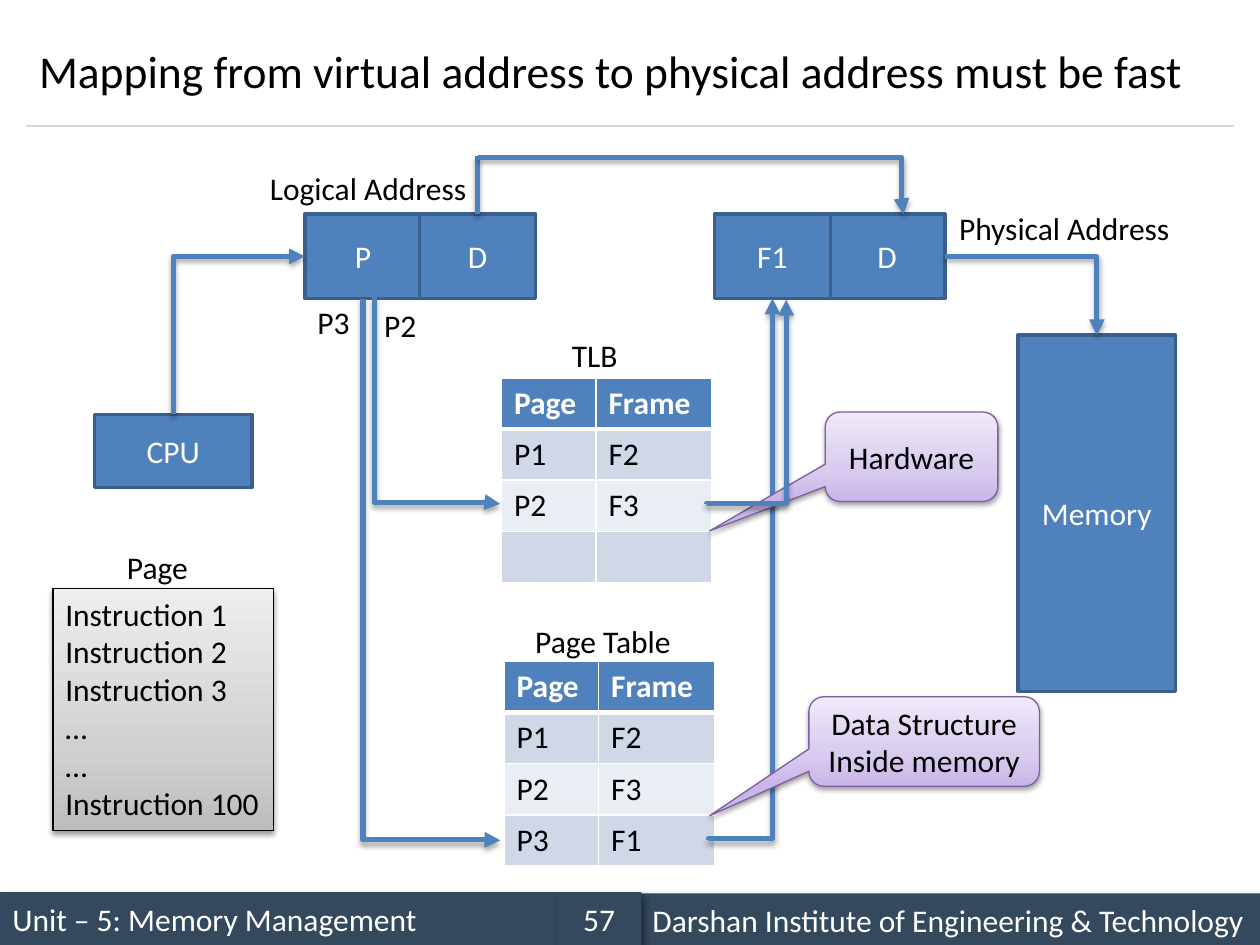
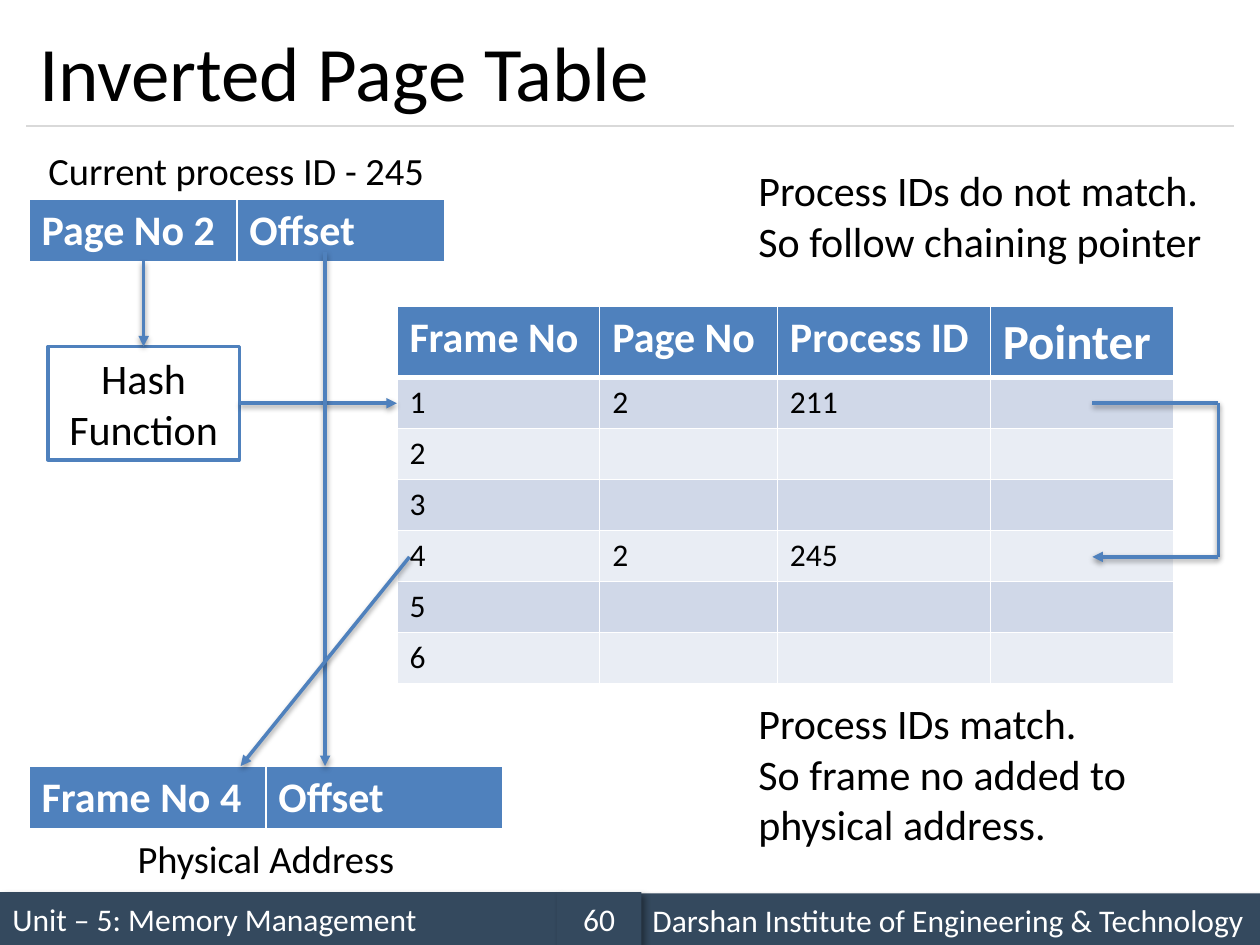
import dataclasses

import lxml.etree
import pptx
import pptx.dml.color
import pptx.enum.shapes
import pptx.enum.text
import pptx.oxml.ns
import pptx.util

Inches = pptx.util.Inches
Pt = pptx.util.Pt
qn = pptx.oxml.ns.qn
SHAPE = pptx.enum.shapes.MSO_SHAPE
CONNECTOR = pptx.enum.shapes.MSO_CONNECTOR
ALIGN = pptx.enum.text.PP_ALIGN
ANCHOR = pptx.enum.text.MSO_ANCHOR
TOP, LEFT, BOTTOM, RIGHT = range(4)
SIDES = {TOP: (0.5, 0), LEFT: (0, 0.5), BOTTOM: (0.5, 1), RIGHT: (1, 0.5)}


@dataclasses.dataclass(frozen=True)
class Theme:
    font: str = "Calibri"
    text: str = "000000"
    white: str = "FFFFFF"
    blue: str = "4F81BD"
    edge: str = "3A5F8C"
    band: str = "34495E"
    rule: str = "D9D9D9"
    purple_edge: str = "7D60A0"
    stripes: tuple = ("D0D8E8", "E9EDF4")
    purple: tuple = ((0, "C9B5E8"), (35, "D8CBEE"), (100, "F0EAF9"))
    gray: tuple = ((0, "BDBDBD"), (35, "D1D1D1"), (100, "EEEEEE"))
    body: int = 18
    caption: int = 22
    large: int = 24
    pointer: int = 28
    band_shadow: tuple = (40, 4, 3, 45)
    thick_shadow: tuple = (35, 3.15, 1.8, 90)
    soft_shadow: tuple = (38, 3.15, 1.6, 90)


T = Theme()

UNIT = "Unit – 5: Memory Management"
INSTITUTE = "Darshan Institute of Engineering & Technology"

MAPPING = {
    "title": ("Mapping from virtual address to physical address must be fast", 26),
    "number": "57",
    "boxes": {
        "cpu": ("CPU", 0.75, 3.29, 1.25, 0.58),
        "page": ("P", 2.42, 1.7, 0.92, 0.67),
        "logical offset": ("D", 3.33, 1.7, 0.92, 0.67),
        "memory": ("Memory", 8.08, 2.66, 1.25, 2.83),
        "physical offset": ("D", 6.58, 1.7, 0.92, 0.67),
        "frame": ("F1", 5.67, 1.7, 0.92, 0.67),
    },
    "tables": [
        (4, 5.25, [["Page", "Frame"], ["P1", "F2"], ["P2", "F3"], ["P3", "F1"]]),
        (3.98, 3, [["Page", "Frame"], ["P1", "F2"], ["P2", "F3"], ["", ""]]),
    ],
    "captions": [
        ("Logical Address", 1.92, 1.29, 1.88, ALIGN.RIGHT),
        ("Physical Address", 7.5, 1.61, 1.88, ALIGN.RIGHT),
        ("P2", 2.95, 2.38, 0.5, ALIGN.LEFT),
        ("P3", 2.42, 2.36, 0.5, ALIGN.LEFT),
        ("Page Table", 4.09, 4.89, 1.39, ALIGN.CENTER),
        ("TLB", 4.39, 2.62, 0.66, ALIGN.CENTER),
        ("Page", 0.91, 4.3, 0.76, ALIGN.LEFT),
    ],
    "callouts": [
        ("Hardware", 6.55, 3.27, 1.37, -1.17),
        ("Data Structure\nInside memory", 6.42, 5.53, 1.83, -0.93),
    ],
    "instructions": "Instruction 1\nInstruction 2\nInstruction 3\n…\n…\nInstruction 100",
    "offset_riser": ((3.79, 1.7), (3.79, 1.24)),
    "elbows_behind": [
        (("cpu", TOP), ("page", LEFT), "vertical", 100),
        ((3.79, 1.25), (7.17, 1.7), "horizontal", 99.6),
        (("page", BOTTOM), (3.97, 6.67), "vertical", 99.9),
        (("physical offset", RIGHT), ("memory", TOP), "corner", None),
        ((5.62, 6.67), ("frame", BOTTOM), "vertical", 0.3),
    ],
    "elbows_front": [
        ((2.97, 2.36), (3.97, 4), "vertical", 99.2),
        ((5.61, 4), (6.24, 2.38), "vertical", 0.3),
    ],
}

INVERTED = {
    "title": ("Inverted Page Table", 44),
    "number": "60",
    "addresses": [
        (0.23, 1.58, 1.65, ["Page No 2", "Offset"]),
        (0.23, 6.08, 1.88, ["Frame No 4", "Offset"]),
    ],
    "frames": [
        ["Frame No", "Page No", "Process ID", "Pointer"],
        ["1", "2", "211", ""],
        ["2", "", "", ""],
        ["3", "", "", ""],
        ["4", "2", "245", ""],
        ["5", "", "", ""],
        ["6", "", "", ""],
    ],
    "captions": [
        ("Current process ID - 245", 0.23, 1.12, 3.29),
        ("Physical Address", 0.97, 6.58, 2.28),
    ],
    "notes": [
        ("Process IDs do not match.\nSo follow chaining pointer", 1.26, 0.91),
        ("Process IDs match.\nSo frame no added to physical address.", 5.49, 1.31),
    ],
    "routes": [
        ((1.14, 2.07), ("hash", TOP)),
        (("hash", RIGHT), (3.15, 3.2)),
        ((8.67, 3.2), (9.67, 3.2), (9.67, 4.42), (8.67, 4.42)),
        ((2.58, 2), (2.58, 6.08)),
        ((3.25, 4.42), (1.91, 6.08)),
    ],
}


def rgb(value):
    return pptx.dml.color.RGBColor.from_string(value)


def write(tf, text, size, color=T.text, align=ALIGN.LEFT, anchor=ANCHOR.TOP, bold=False):
    tf.text = text
    tf.word_wrap = True
    tf.vertical_anchor = anchor
    for p in tf.paragraphs:
        p.alignment = align
        for r in p.runs:
            r.font.name = T.font
            r.font.size = Pt(size)
            r.font.bold = bold
            r.font.color.rgb = rgb(color)


def add_shadow(sp, shadow):
    alpha, blur, dist, angle = shadow
    effects = sp._element.spPr.find(qn("a:effectLst"))
    outer = lxml.etree.SubElement(
        effects, qn("a:outerShdw"), blurRad=str(Pt(blur)), dist=str(Pt(dist)),
        dir=str(angle * 60000), rotWithShape="0")
    color = lxml.etree.SubElement(outer, qn("a:srgbClr"), val="000000")
    lxml.etree.SubElement(color, qn("a:alpha"), val=str(alpha * 1000))


def fill_gradient(sp, stops):
    sp.fill.gradient()
    sp.fill.gradient_angle = 90
    gs_list = sp._element.spPr.find(".//" + qn("a:gsLst"))
    for gs in list(gs_list):
        gs_list.remove(gs)
    for position, color in stops:
        gs = lxml.etree.SubElement(gs_list, qn("a:gs"), pos=str(position * 1000))
        lxml.etree.SubElement(gs, qn("a:srgbClr"), val=color)


def add_box(slide, at, text, fill=T.blue, line=T.edge, width=2, kind=SHAPE.RECTANGLE,
            size=T.body, color=T.white, align=ALIGN.CENTER, anchor=ANCHOR.MIDDLE, shadow=None):
    sp = slide.shapes.add_shape(kind, *map(Inches, at))
    sp.shadow.inherit = False
    if isinstance(fill, str):
        sp.fill.solid()
        sp.fill.fore_color.rgb = rgb(fill)
    else:
        fill_gradient(sp, fill)
    if line:
        sp.line.color.rgb = rgb(line)
        sp.line.width = Pt(width)
    else:
        sp.line.fill.background()
    if shadow:
        add_shadow(sp, shadow)
    write(sp.text_frame, text, size, color, align, anchor)
    return sp


def add_text(slide, at, text, size=T.body, align=ALIGN.LEFT):
    sp = slide.shapes.add_textbox(*map(Inches, at))
    write(sp.text_frame, text, size, align=align)


def locate(stop, boxes):
    if not isinstance(stop[0], str):
        return Inches(stop[0]), Inches(stop[1])
    sp, (across, down) = boxes[stop[0]], SIDES[stop[1]]
    return int(sp.left + sp.width * across), int(sp.top + sp.height * down)


def add_line(slide, start, end, color, width, boxes=None, kind=CONNECTOR.STRAIGHT,
             arrow=False, shadow=None):
    line = slide.shapes.add_connector(kind, *locate(start, boxes), *locate(end, boxes))
    if isinstance(start[0], str):
        line.begin_connect(boxes[start[0]], start[1])
    if isinstance(end[0], str):
        line.end_connect(boxes[end[0]], end[1])
    line.line.color.rgb = rgb(color)
    line.line.width = Pt(width)
    if arrow:
        lxml.etree.SubElement(line.line._get_or_add_ln(), qn("a:tailEnd"), type="triangle")
    lxml.etree.SubElement(line._element.spPr, qn("a:effectLst"))
    if shadow:
        add_shadow(line, shadow)
    return line


def add_route(slide, stops, boxes):
    for i, (start, end) in enumerate(zip(stops, stops[1:]), 2):
        add_line(slide, start, end, T.blue, 2, boxes, arrow=i == len(stops),
                 shadow=T.soft_shadow)


def add_elbow(slide, start, end, course, bend, boxes):
    line = add_line(slide, start, end, T.blue, 3, boxes, CONNECTOR.ELBOW, True, T.thick_shadow)
    geometry = line._element.spPr.find(qn("a:prstGeom"))
    if course == "corner":
        geometry.set("prst", "bentConnector2")
        return
    guides = geometry.find(qn("a:avLst"))
    if guides is None:
        guides = lxml.etree.SubElement(geometry, qn("a:avLst"))
    lxml.etree.SubElement(guides, qn("a:gd"), name="adj1", fmla=f"val {round(bend * 1000)}")
    if course == "vertical":
        (x1, y1), (x2, y2) = locate(start, boxes), locate(end, boxes)
        width, height = abs(y2 - y1), abs(x2 - x1)
        line.left, line.top = (x1 + x2 - width) // 2, (y1 + y2 - height) // 2
        line.width, line.height = width, height
        xfrm = line._element.spPr.find(qn("a:xfrm"))
        rising = y2 < y1
        xfrm.set("rot", str((90 if rising else 270) * 60000))
        xfrm.set("flipH", "1")
        xfrm.set("flipV", "1" if rising else "0")


def add_header_rule(cell):
    ln = lxml.etree.Element(qn("a:lnB"), w=str(Pt(3)))
    fill = lxml.etree.SubElement(ln, qn("a:solidFill"))
    lxml.etree.SubElement(fill, qn("a:srgbClr"), val=T.white)
    cell._tc.get_or_add_tcPr().insert(0, ln)


def add_table(slide, left, top, widths, height, rows, header_height=None, header_sizes=None):
    header_height = header_height or height / len(rows)
    header_sizes = header_sizes or [T.body] * len(widths)
    table = slide.shapes.add_table(
        len(rows), len(widths), *map(Inches, (left, top, sum(widths), height))).table
    for column, width in zip(table.columns, widths):
        column.width = Inches(width)
    for i, row in enumerate(rows):
        body_height = (height - header_height) / max(len(rows) - 1, 1)
        table.rows[i].height = Inches(body_height if i else header_height)
        for j, text in enumerate(row):
            cell = table.cell(i, j)
            cell.fill.solid()
            cell.fill.fore_color.rgb = rgb(T.stripes[(i - 1) % 2] if i else T.blue)
            if not i:
                add_header_rule(cell)
            if text:
                write(cell.text_frame, text, T.body if i else header_sizes[j],
                      T.text if i else T.white, bold=not i)


def start_slide(prs, content):
    slide = prs.slides.add_slide(prs.slide_layouts[5])
    bands = [
        (0, 7.08, 4.42, UNIT, ALIGN.LEFT),
        (5.08, 7.09, 4.92, INSTITUTE, ALIGN.LEFT),
        (4.42, 7.08, 0.67, content["number"], ALIGN.CENTER),
    ]
    for left, top, width, text, align in bands:
        add_box(slide, (left, top, width, 0.42), text, T.band, None,
                align=align, shadow=T.band_shadow)
    add_line(slide, (0.21, 1), (9.79, 1), T.rule, 0.75)
    title = slide.shapes.title
    title.left, title.top, title.width, title.height = map(Inches, (0.21, 0.12, 9.58, 0.88))
    title.text_frame.auto_size = pptx.enum.text.MSO_AUTO_SIZE.NONE
    text, size = content["title"]
    write(title.text_frame, text, size, anchor=ANCHOR.MIDDLE)
    return slide


def build_mapping(prs):
    slide = start_slide(prs, MAPPING)
    for left, top, rows in MAPPING["tables"]:
        add_table(slide, left, top, (0.75, 0.92), 1.62, rows)
    boxes = {name: add_box(slide, at, text) for name, (text, *at) in MAPPING["boxes"].items()}
    add_line(slide, *MAPPING["offset_riser"], T.blue, 3, shadow=T.thick_shadow)
    for elbow in MAPPING["elbows_behind"]:
        add_elbow(slide, *elbow, boxes)
    for text, left, top, width, align in MAPPING["captions"]:
        add_text(slide, (left, top, width, 0.4), text, align=align)
    for text, left, top, width, tip in MAPPING["callouts"]:
        sp = add_box(slide, (left, top, width, 0.71), text, T.purple, T.purple_edge, 0.75,
                     SHAPE.ROUNDED_RECTANGULAR_CALLOUT, color=T.text, shadow=T.soft_shadow)
        sp.adjustments[0], sp.adjustments[1] = tip, 0.83
    for elbow in MAPPING["elbows_front"]:
        add_elbow(slide, *elbow, boxes)
    add_box(slide, (0.42, 4.67, 1.75, 1.92), MAPPING["instructions"], T.gray, T.text, 0.75,
            color=T.text, align=ALIGN.LEFT, anchor=ANCHOR.TOP, shadow=T.soft_shadow)


def build_inverted(prs):
    slide = start_slide(prs, INVERTED)
    for left, top, width, cells in INVERTED["addresses"]:
        add_table(slide, left, top, (width, width), 0.5, [cells], header_sizes=[T.large] * 2)
    for text, left, top, width in INVERTED["captions"]:
        add_text(slide, (left, top, width, 0.47), text, T.caption, ALIGN.CENTER)
    boxes = {"hash": add_box(slide, (0.38, 2.75, 1.52, 0.9), "Hash Function", T.white, T.blue,
                             size=T.large, color=T.text, anchor=ANCHOR.TOP)}
    add_table(slide, 3.15, 2.43, (1.61, 1.41, 1.69, 1.46), 2.99, INVERTED["frames"],
              0.56, [T.large] * 3 + [T.pointer])
    for text, top, height in INVERTED["notes"]:
        add_text(slide, (5.92, top, 3.75, height), text, T.large)
    for stops in INVERTED["routes"]:
        add_route(slide, stops, boxes)


def main():
    prs = pptx.Presentation()
    prs.slide_width, prs.slide_height = Inches(10), Inches(7.5)
    build_mapping(prs)
    build_inverted(prs)
    prs.save("out.pptx")


if __name__ == "__main__":
    main()
